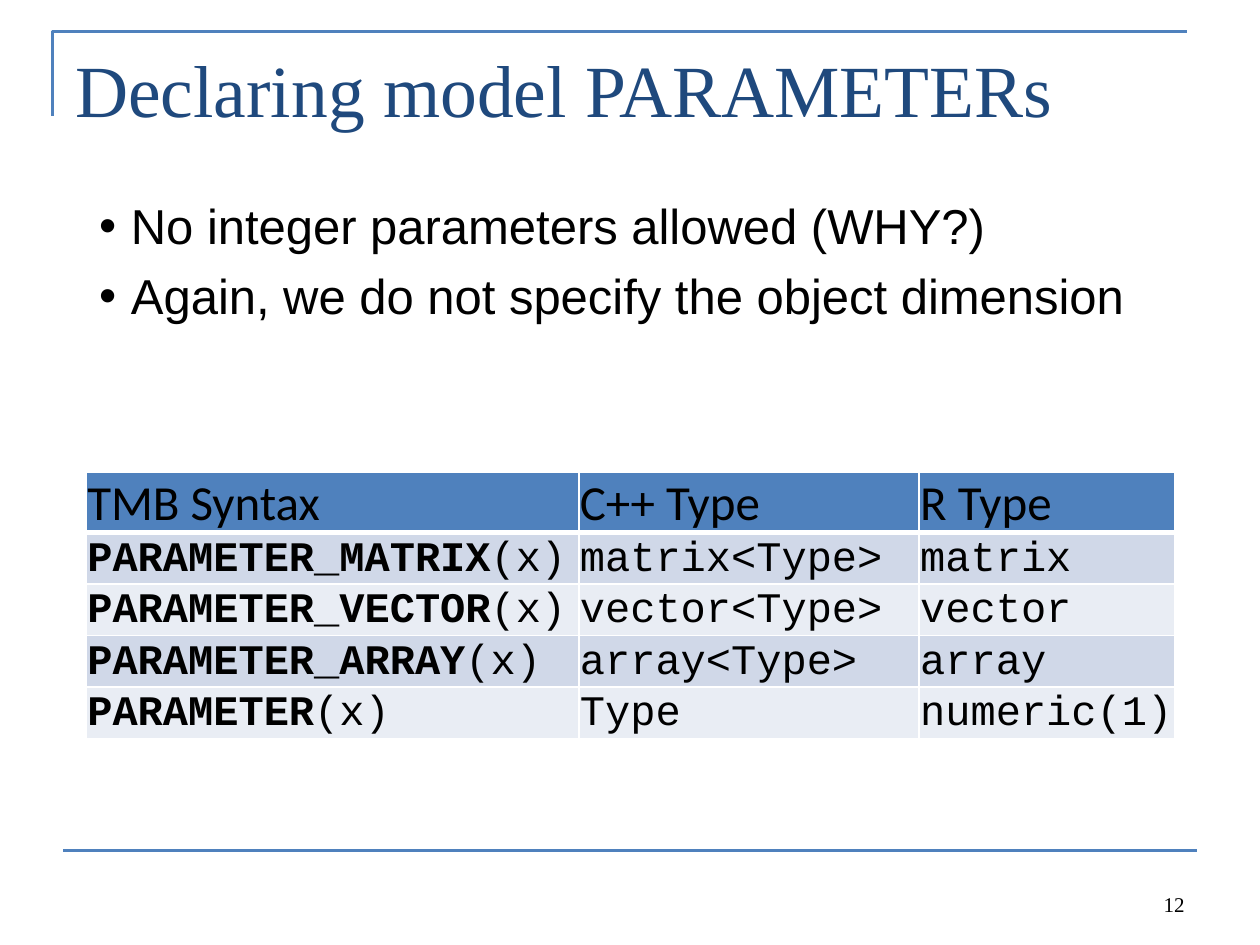
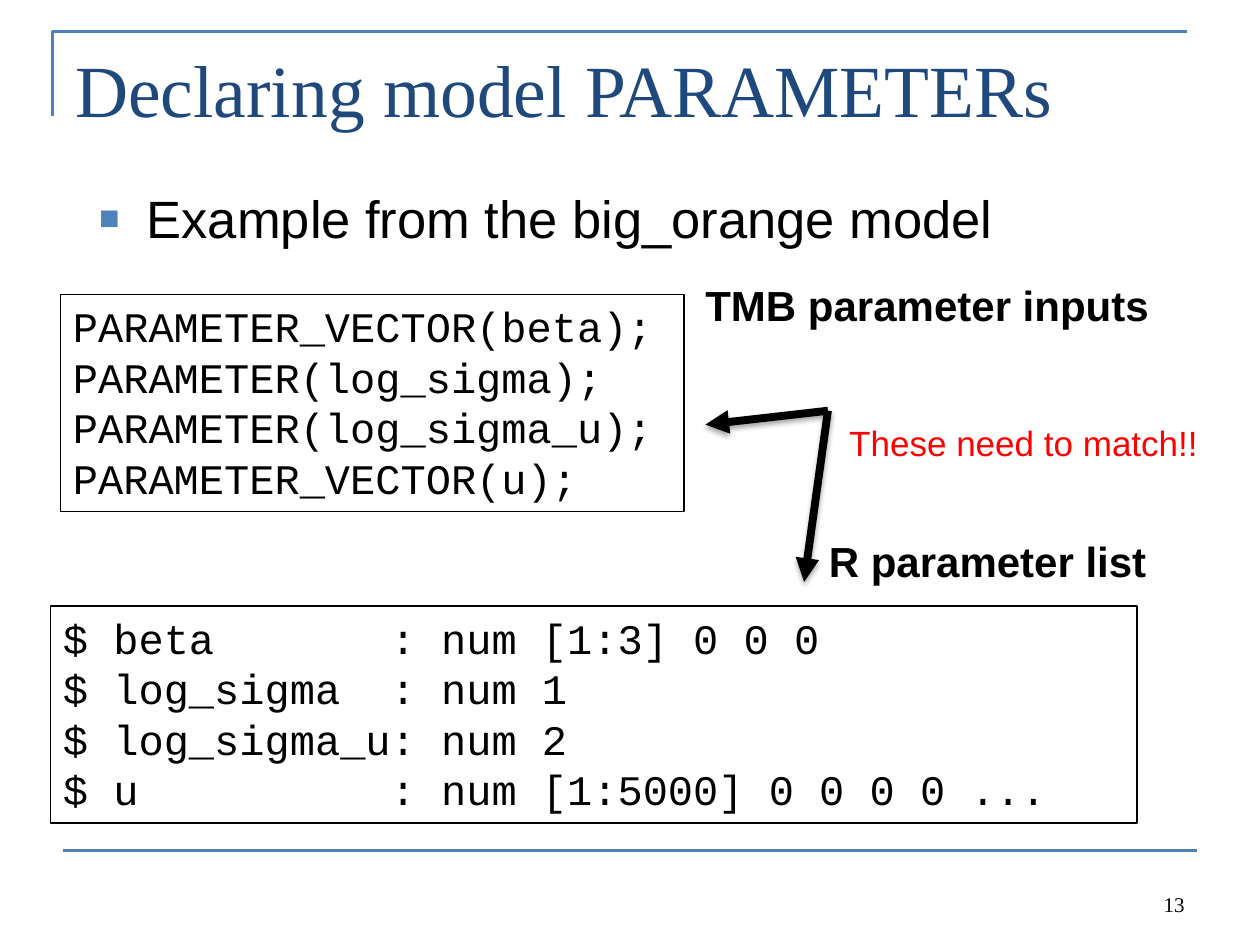
"""Build two slides on declaring model parameters."""
from dataclasses import dataclass

from lxml.etree import SubElement
from pptx import Presentation
from pptx.dml.color import RGBColor
from pptx.enum.shapes import MSO_CONNECTOR, MSO_SHAPE
from pptx.enum.text import MSO_ANCHOR, PP_ALIGN
from pptx.oxml.ns import qn
from pptx.util import Cm, Pt

TOP, BOTTOM = MSO_ANCHOR.TOP, MSO_ANCHOR.BOTTOM
LEFT, RIGHT = PP_ALIGN.LEFT, PP_ALIGN.RIGHT
RECTANGLE, STRAIGHT = MSO_SHAPE.RECTANGLE, MSO_CONNECTOR.STRAIGHT


@dataclass(frozen=True)
class Theme:
    accent: str = "4F81BD"
    title: str = "1F497D"
    ink: str = "000000"
    alert: str = "FF0000"
    paper: str = "FFFFFF"
    bands: tuple = ("D0D8E8", "E9EDF4")
    serif: str = "Times New Roman"
    sans: str = "Arial"
    table_head: str = "Calibri"
    code: str = "Courier New"
    title_size: int = 42
    lead_size: int = 30
    body_size: int = 28
    code_size: int = 24
    note_size: int = 20
    number_size: int = 12


theme = Theme()


def write_text(frame, lines, *, font=theme.sans, size=theme.code_size, color=theme.ink,
               bold=False, align=LEFT, bullet=None, bullet_color=theme.ink,
               bullet_scale=100, indent=0, before=0, spacing=1.0):
    frame.word_wrap = True
    for index, line in enumerate(lines):
        para = frame.add_paragraph() if index else frame.paragraphs[0]
        para.alignment = align
        para.space_before = Pt(before)
        para.line_spacing = spacing
        if bullet:
            properties = para._p.get_or_add_pPr()
            properties.set("marL", str(Cm(indent)))
            properties.set("indent", str(-Cm(indent)))
            tint = SubElement(properties, qn("a:buClr"))
            SubElement(tint, qn("a:srgbClr"), val=bullet_color)
            SubElement(properties, qn("a:buSzPct"), val=str(bullet_scale * 1000))
            SubElement(properties, qn("a:buFont"), typeface=theme.sans)
            SubElement(properties, qn("a:buChar"), char=bullet)
        pieces = [(line, bold)] if isinstance(line, str) else line
        for text, heavy in pieces:
            span = para.add_run()
            span.text = text
            span.font.name = font
            span.font.size = Pt(size)
            span.font.bold = heavy
            span.font.color.rgb = RGBColor.from_string(color)


def add_box(page, left, top, width, height, lines, anchor=TOP, **text_format):
    box = page.shapes.add_textbox(Cm(left), Cm(top), Cm(width), Cm(height))
    box.text_frame.vertical_anchor = anchor
    write_text(box.text_frame, lines, **text_format)


deck = Presentation()
deck.slide_width, deck.slide_height = Cm(25.4), Cm(19.05)
pages = []

for number in (12, 13):
    page = deck.slides.add_slide(deck.slide_layouts[6])
    pages.append(page)

    builder = page.shapes.build_freeform(Cm(1.06), Cm(2.33))
    builder.add_line_segments([(Cm(1.06), Cm(0.63)), (Cm(23.92), Cm(0.63))], close=False)
    corner = builder.convert_to_shape()
    corner.shadow.inherit = False
    corner.fill.background()
    footer = page.shapes.add_connector(STRAIGHT, Cm(1.27), Cm(17.15), Cm(24.13), Cm(17.15))
    for rule in (corner, footer):
        rule.line.color.rgb = RGBColor.from_string(theme.accent)
        rule.line.width = Pt(1.5)
    SubElement(footer._element.spPr, qn("a:effectLst"))

    add_box(page, 1.27, 0.77, 22.86, 3.18, ["Declaring model PARAMETERs"],
            font=theme.serif, size=theme.title_size, color=theme.title)
    add_box(page, 18.21, 17.34, 5.92, 1.27, [str(number)], anchor=BOTTOM,
            font=theme.serif, size=theme.number_size, align=RIGHT)

types_page, example_page = pages

add_box(types_page, 1.75, 3.95, 21.9, 3.68,
        ["No integer parameters allowed (WHY?)",
         "Again, we do not specify the object dimension"],
        size=theme.body_size, bullet="•", indent=0.64, before=10, spacing=0.9)

headings = ["TMB Syntax", "C++ Type", "R Type"]
parameter_types = [
    ("PARAMETER_MATRIX", "matrix<Type>", "matrix"),
    ("PARAMETER_VECTOR", "vector<Type>", "vector"),
    ("PARAMETER_ARRAY", "array<Type>", "array"),
    ("PARAMETER", "Type", "numeric(1)"),
]
rows = [headings] + [[[(macro, True), ("(x)", False)], cpp_type, r_type]
                     for macro, cpp_type, r_type in parameter_types]
table = types_page.shapes.add_table(
    len(rows), len(headings), Cm(1.74), Cm(9.53), Cm(21.94), Cm(5.32)).table
for column, width in zip(table.columns, (9.93, 6.86, 5.15)):
    column.width = Cm(width)

for row_index, row in enumerate(rows):
    is_header = row_index == 0
    table.rows[row_index].height = Cm(1.2 if is_header else 1.03)
    fill = theme.accent if is_header else theme.bands[(row_index - 1) % 2]
    for column_index, content in enumerate(row):
        cell = table.cell(row_index, column_index)
        cell.vertical_anchor = BOTTOM
        cell.margin_left = cell.margin_right = cell.margin_top = Cm(0.02)
        cell.margin_bottom = 0
        write_text(cell.text_frame, [content],
                   font=theme.table_head if is_header else theme.code,
                   size=theme.body_size if is_header else theme.code_size)
        properties = cell._tc.get_or_add_tcPr()
        for side in "LRTB":
            thick = (is_header and side == "B") or (row_index == 1 and side == "T")
            border = SubElement(properties, qn(f"a:ln{side}"), w=str(Pt(3 if thick else 1)))
            paint = SubElement(border, qn("a:solidFill"))
            SubElement(paint, qn("a:srgbClr"), val=theme.paper)
        cell.fill.solid()
        cell.fill.fore_color.rgb = RGBColor.from_string(fill)

add_box(example_page, 1.75, 3.62, 21.9, 2.03, ["Example from the big_orange model"],
        size=theme.lead_size, bullet="■", bullet_color=theme.accent,
        bullet_scale=65, indent=0.96, before=6)

declarations = ["PARAMETER_VECTOR(beta);", "PARAMETER(log_sigma);",
                "PARAMETER(log_sigma_u);", "PARAMETER_VECTOR(u);"]
initial_values = {"beta": "[1:3] 0 0 0", "log_sigma": "1", "log_sigma_u": "2",
                  "u": "[1:5000] 0 0 0 0 ..."}
listing = [f"$ {name:<11}: num {value}" for name, value in initial_values.items()]
for left, top, width, code in ((1.22, 5.94, 12.57, declarations),
                               (1.02, 12.22, 21.9, listing)):
    box = example_page.shapes.add_shape(RECTANGLE, Cm(left), Cm(top), Cm(width), Cm(4.37))
    box.shadow.inherit = False
    box.fill.background()
    box.line.color.rgb = RGBColor.from_string(theme.ink)
    box.line.width = Pt(0.75)
    box.text_frame.vertical_anchor = TOP
    write_text(box.text_frame, code, font=theme.code)

add_box(example_page, 16.87, 8.38, 9.37, 1.12, ["These need to match!!"],
        size=theme.note_size, color=theme.alert)

for end_x, end_y in ((16.21, 11.73), (14.22, 8.56)):
    arrow = example_page.shapes.add_connector(
        STRAIGHT, Cm(16.69), Cm(8.28), Cm(end_x), Cm(end_y))
    arrow.line.color.rgb = RGBColor.from_string(theme.ink)
    arrow.line.width = Pt(4.5)
    SubElement(arrow.line._get_or_add_ln(), qn("a:tailEnd"), type="triangle")
    effects = SubElement(arrow._element.spPr, qn("a:effectLst"))
    shadow = SubElement(effects, qn("a:outerShdw"), blurRad=str(Pt(3.1)),
                        dist=str(Pt(1.8)), dir="5400000", rotWithShape="0")
    shade = SubElement(shadow, qn("a:srgbClr"), val=theme.ink)
    SubElement(shade, qn("a:alpha"), val="35000")

add_box(example_page, 16.46, 10.67, 7.7, 1.27, ["R parameter list"], bold=True)
add_box(example_page, 13.97, 5.51, 10.67, 1.27, ["TMB parameter inputs"], bold=True)

deck.save("out.pptx")
